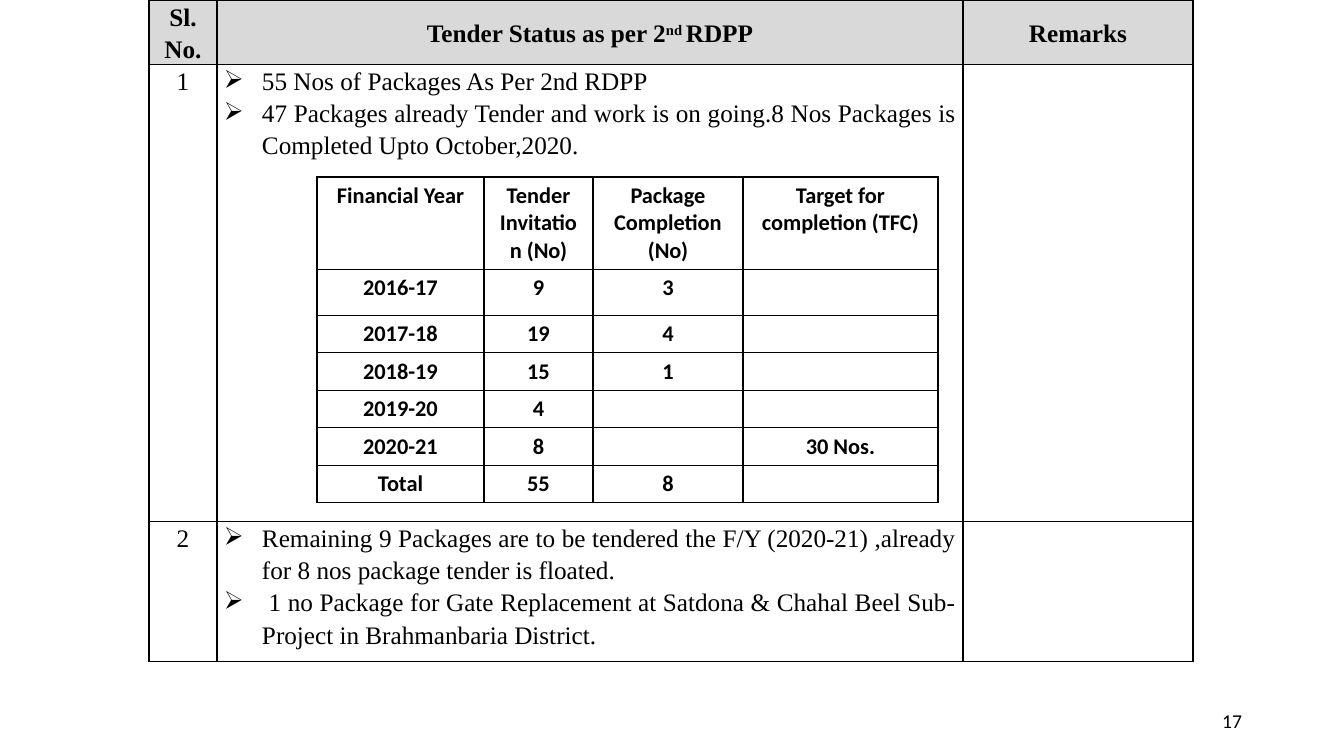
from dataclasses import dataclass

from lxml import etree
from pptx import Presentation
from pptx.dml.color import RGBColor
from pptx.enum.text import MSO_ANCHOR, PP_ALIGN
from pptx.oxml.ns import qn
from pptx.util import Pt

EMU_PER_PX = 12192000 / 1344
TOP, MIDDLE = MSO_ANCHOR.TOP, MSO_ANCHOR.MIDDLE
CENTER, JUSTIFY, RIGHT = PP_ALIGN.CENTER, PP_ALIGN.JUSTIFY, PP_ALIGN.RIGHT


@dataclass(frozen=True)
class Theme:
    """Colours, fonts and type sizes of the slide."""
    ink: str = "000000"
    header_fill: str = "D9D9D9"
    serif: str = "Times New Roman"
    sans: str = "Calibri"
    status_size: int = 18
    year_size: int = 16
    page_size: int = 14
    border: int = 1


THEME = Theme()

STATUS_HEADER = [
    [("Sl. No.", 0)],
    [("Tender Status as per 2", 0), ("nd ", 30), ("RDPP", 0)],
    [("Remarks", 0)],
]
STATUS_ITEMS = [
    ["55 Nos of Packages As Per 2nd RDPP",
     "47 Packages already Tender and work is on going.8 Nos Packages is "
     "Completed Upto October,2020."],
    ["Remaining 9 Packages are to be tendered the F/Y (2020-21) ,already "
     "for 8 nos package tender is floated.",
     " 1 no Package for Gate Replacement at Satdona & Chahal Beel "
     "Sub-Project in Brahmanbaria District."],
]
YEAR_ROWS = [
    ["Financial Year", "Tender Invitation (No)", "Package\nCompletion\n(No)",
     "Target for completion (TFC)"],
    ["2016-17", "9", "3", ""],
    ["2017-18", "19", "4", ""],
    ["2018-19", "15", "1", ""],
    ["2019-20", "4", "", ""],
    ["2020-21", "8", "", "30 Nos."],
    ["Total", "55", "8", ""],
]


def px(length):
    """Turn pixels into EMU."""
    return round(length * EMU_PER_PX)


def add_span(para, text, font, size, bold=False, baseline=0):
    """Add one formatted run to a paragraph."""
    span = para.add_run()
    span.text = text
    span.font.name = font
    span.font.size = Pt(size)
    span.font.bold = bold
    span.font.color.rgb = RGBColor.from_string(THEME.ink)
    if baseline:
        span.font._element.set("baseline", str(baseline * 1000))


def next_para(frame, index, align, spacing=1.0):
    """Return the paragraph at an index, adding it after the first."""
    para = frame.add_paragraph() if index else frame.paragraphs[0]
    para.alignment = align
    para.line_spacing = spacing
    return para


def add_arrow_bullet(para):
    """Give a paragraph a hanging arrow bullet."""
    properties = para._p.get_or_add_pPr()
    properties.set("marL", str(px(38)))
    properties.set("indent", str(px(-38)))
    etree.SubElement(properties, qn("a:buChar"), char="➢")


def format_cell(cell, fill=None):
    """Draw the four borders of a cell and set its fill."""
    properties = cell._tc.get_or_add_tcPr()
    for side in ("L", "R", "T", "B"):
        line = etree.SubElement(properties, qn(f"a:ln{side}"), w=str(Pt(THEME.border)))
        solid = etree.SubElement(line, qn("a:solidFill"))
        etree.SubElement(solid, qn("a:srgbClr"), val=THEME.ink)
    if fill:
        cell.fill.solid()
        cell.fill.fore_color.rgb = RGBColor.from_string(fill)
    else:
        cell.fill.background()


def add_grid(page, left, top, widths, heights):
    """Add a plain bordered table with the given columns and rows."""
    table = page.shapes.add_table(
        len(heights), len(widths), px(left), px(top), px(sum(widths)), px(sum(heights))
    ).table
    table.first_row = table.horz_banding = False
    for column, width in zip(table.columns, widths):
        column.width = px(width)
    for row, height in zip(table.rows, heights):
        row.height = px(height)
    return table


def fill_status_cell(cell, paras, align, bold=False, bullets=False):
    """Write paragraphs of (text, baseline) spans into a status cell."""
    cell.margin_left = cell.margin_right = px(7)
    cell.margin_top = cell.margin_bottom = 0
    for index, spans in enumerate(paras):
        para = next_para(cell.text_frame, index, align, 1.15)
        if bullets:
            add_arrow_bullet(para)
        for text, baseline in spans:
            add_span(para, text, THEME.serif, THEME.status_size, bold, baseline)


def add_status_table(page):
    """Add the outer tender status table."""
    table = add_grid(page, 149, 0, [68, 746, 230], [64, 457, 140])
    for cell, spans in zip(table.rows[0].cells, STATUS_HEADER):
        format_cell(cell, THEME.header_fill)
        cell.vertical_anchor = MIDDLE
        fill_status_cell(cell, [spans], CENTER, bold=True)
    for number, items in enumerate(STATUS_ITEMS, start=1):
        for cell in table.rows[number].cells:
            format_cell(cell)
            cell.vertical_anchor = TOP
        fill_status_cell(table.cell(number, 0), [[(str(number), 0)]], CENTER)
        fill_status_cell(table.cell(number, 1), [[(item, 0)] for item in items],
                         JUSTIFY, bullets=True)


def add_year_table(page):
    """Add the inner table of tenders and completions by year."""
    table = add_grid(page, 317, 177, [167, 109, 150, 195], [92, 46] + [37] * 5)
    for row, texts in zip(table.rows, YEAR_ROWS):
        for cell, text in zip(row.cells, texts):
            format_cell(cell)
            for index, line in enumerate(text.split("\n")):
                para = next_para(cell.text_frame, index, CENTER)
                if line:
                    add_span(para, line, THEME.sans, THEME.year_size, bold=True)
                else:
                    etree.SubElement(para._p, qn("a:endParaRPr"),
                                     sz=str(THEME.year_size * 100))


def add_page_number(page, number):
    """Add the page number at the lower right."""
    box = page.shapes.add_textbox(px(950), px(701), px(302), px(40))
    frame = box.text_frame
    frame.word_wrap = True
    frame.vertical_anchor = MIDDLE
    add_span(next_para(frame, 0, RIGHT), number, THEME.sans, THEME.page_size)


def main():
    """Build the tender status slide and save it."""
    deck = Presentation()
    deck.slide_width, deck.slide_height = px(1344), px(756)
    page = deck.slides.add_slide(deck.slide_layouts.get_by_name("Blank"))
    add_status_table(page)
    add_year_table(page)
    add_page_number(page, "17")
    deck.save("out.pptx")


if __name__ == "__main__":
    main()
